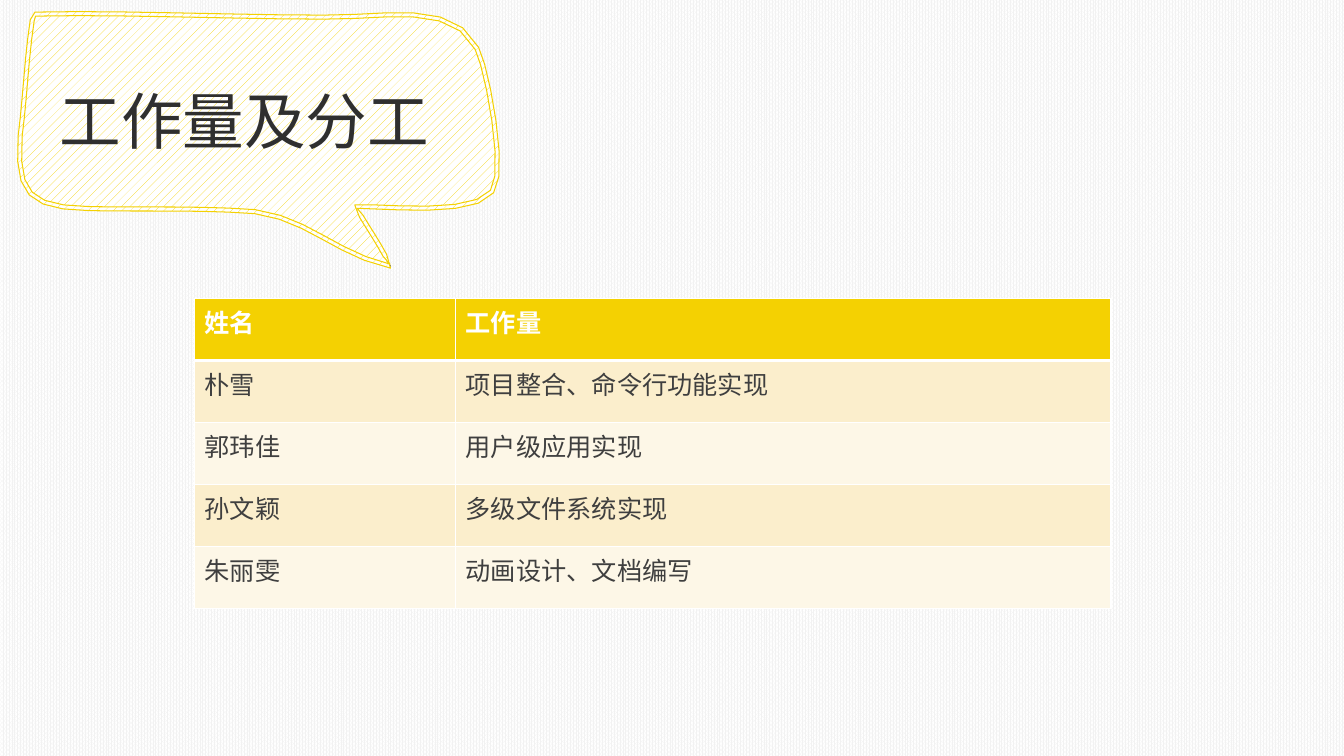
"""Build the workload and division of labour slide with its speech bubble title."""
from math import hypot

from lxml.etree import SubElement
from pptx import Presentation
from pptx.dml.color import RGBColor
from pptx.enum.dml import MSO_PATTERN
from pptx.enum.text import MSO_ANCHOR, MSO_AUTO_SIZE, PP_ALIGN
from pptx.oxml.ns import qn
from pptx.util import Inches, Pt

THEME = {
    "yellow": RGBColor.from_string("F4D102"),
    "white": RGBColor.from_string("FFFFFF"),
    "black": RGBColor.from_string("000000"),
    "backdrop": RGBColor.from_string("F2F2F2"),
    "title": RGBColor.from_string("2F2F2F"),
    "text": RGBColor.from_string("3F3F3F"),
    "bands": [RGBColor.from_string("FDF7E7"), RGBColor.from_string("FBEECC")],
    "title_font": "Open Sans",
    "table_font": "Noto Sans CJK SC",
    "title_size": Pt(44),
    "table_size": Pt(18),
    "outline": Pt(0.75),
}


def add_run(paragraph, text, font_name, size, color, bold=False):
    """Add one run with the same typeface for Latin and East Asian text."""
    run = paragraph.add_run()
    run.text = text
    run.font.name = font_name
    run.font.size = size
    run.font.bold = bold
    run.font.color.rgb = color
    SubElement(run.font._element, qn("a:ea"), typeface=font_name)


def set_pattern(fill, pattern, color):
    """Fill with a colored pattern on white."""
    fill.patterned()
    fill.pattern = pattern
    fill.fore_color.rgb = color
    fill.back_color.rgb = THEME["white"]


presentation = Presentation()
presentation.slide_width = Inches(13.33)
presentation.slide_height = Inches(7.5)
slide = presentation.slides.add_slide(presentation.slide_layouts[5])
set_pattern(slide.background.fill, MSO_PATTERN.PERCENT_80, THEME["backdrop"])

bubble_start = (0.35, 0.14)
bubble_curves = [
    ((1.13, 0.12), (2.33, 0.17), (3.21, 0.17)),
    ((3.81, 0.18), (4.49, 0), (4.73, 0.48)),
    ((4.83, 0.67), (5.03, 1.73), (4.88, 1.9)),
    ((4.7, 2.15), (3.81, 2.04), (3.53, 2.05)),
    ((3.63, 2.24), (3.77, 2.42), (3.87, 2.64)),
    ((3.33, 2.52), (3.06, 2.17), (2.53, 2.1)),
    ((2.02, 2.06), (1.43, 2.08), (0.89, 2.07)),
    ((0.29, 2.06), (0.16, 1.92), (0.2, 1.35)),
    ((0.25, 0.97), (0.26, 0.59), (0.32, 0.2)),
]
steps = 6
bubble_points = [bubble_start]
for control_1, control_2, end in bubble_curves:
    start = bubble_points[-1]
    for step in range(1, steps + 1):
        t = step / steps
        weights = ((1 - t) ** 3, 3 * t * (1 - t) ** 2, 3 * t**2 * (1 - t), t**3)
        curve = (start, control_1, control_2, end)
        bubble_points.append(tuple(
            sum(weight * point[axis] for weight, point in zip(weights, curve))
            for axis in (0, 1)
        ))

border_contours = []
for offset in (0.02, -0.02):
    contour = []
    for index, (x, y) in enumerate(bubble_points):
        before = bubble_points[index - 1]
        after = bubble_points[(index + 1) % len(bubble_points)]
        dx, dy = after[0] - before[0], after[1] - before[1]
        scale = offset / hypot(dx, dy)
        contour.append((x + dy * scale, y - dx * scale))
    border_contours.append(contour)

bubble_shapes = []
for contours, line_color in (
    ([bubble_points], THEME["black"]),
    (border_contours, THEME["yellow"]),
):
    outlines = [[(Inches(x), Inches(y)) for x, y in contour] for contour in contours]
    builder = slide.shapes.build_freeform(*outlines[0][0])
    builder.add_line_segments(outlines[0][1:], close=True)
    for outline in outlines[1:]:
        builder.move_to(*outline[0])
        builder.add_line_segments(outline[1:], close=True)
    shape = builder.convert_to_shape()
    shape.shadow.inherit = False
    set_pattern(shape.fill, MSO_PATTERN.PERCENT_20, THEME["yellow"])
    shape.line.color.rgb = line_color
    shape.line.width = THEME["outline"]
    bubble_shapes.append(shape)
bubble = slide.shapes.add_group_shape(bubble_shapes)

title = slide.shapes.title
bubble.element.addnext(title.element)
title.left, title.top = Inches(0.17), Inches(0.77)
title.width, title.height = Inches(4.51), Inches(0.84)
title.text_frame.auto_size = MSO_AUTO_SIZE.NONE
title.text_frame.vertical_anchor = MSO_ANCHOR.MIDDLE
title.text_frame.word_wrap = True
title_paragraph = title.text_frame.paragraphs[0]
title_paragraph.alignment = PP_ALIGN.CENTER
add_run(title_paragraph, "工作量及分工", THEME["title_font"], THEME["title_size"], THEME["title"])

work_rows = [
    ("姓名", "工作量"),
    ("朴雪", "项目整合、命令行功能实现"),
    ("郭玮佳", "用户级应用实现"),
    ("孙文颖", "多级文件系统实现"),
    ("朱丽雯", "动画设计、文档编写"),
]
column_widths = (2.59, 6.5)
table_height = 3.08
table = slide.shapes.add_table(
    len(work_rows), len(column_widths), Inches(1.93), Inches(2.96),
    Inches(sum(column_widths)), Inches(table_height),
).table
for column, width in zip(table.columns, column_widths):
    column.width = Inches(width)

for row_index, values in enumerate(work_rows):
    table.rows[row_index].height = Inches(table_height / len(work_rows))
    is_header = row_index == 0
    thick_edge = {0: "lnB", 1: "lnT"}.get(row_index)
    for column_index, value in enumerate(values):
        cell = table.cell(row_index, column_index)
        properties = cell._tc.get_or_add_tcPr()
        for edge in ("lnL", "lnR", "lnT", "lnB"):
            width = Pt(3 if edge == thick_edge else 1)
            border = SubElement(properties, qn(f"a:{edge}"), w=str(width))
            border_fill = SubElement(border, qn("a:solidFill"))
            SubElement(border_fill, qn("a:srgbClr"), val=str(THEME["white"]))
        cell.fill.solid()
        cell.fill.fore_color.rgb = THEME["yellow"] if is_header else THEME["bands"][row_index % 2]
        add_run(
            cell.text_frame.paragraphs[0], value, THEME["table_font"], THEME["table_size"],
            THEME["white"] if is_header else THEME["text"], is_header,
        )

presentation.save("out.pptx")
